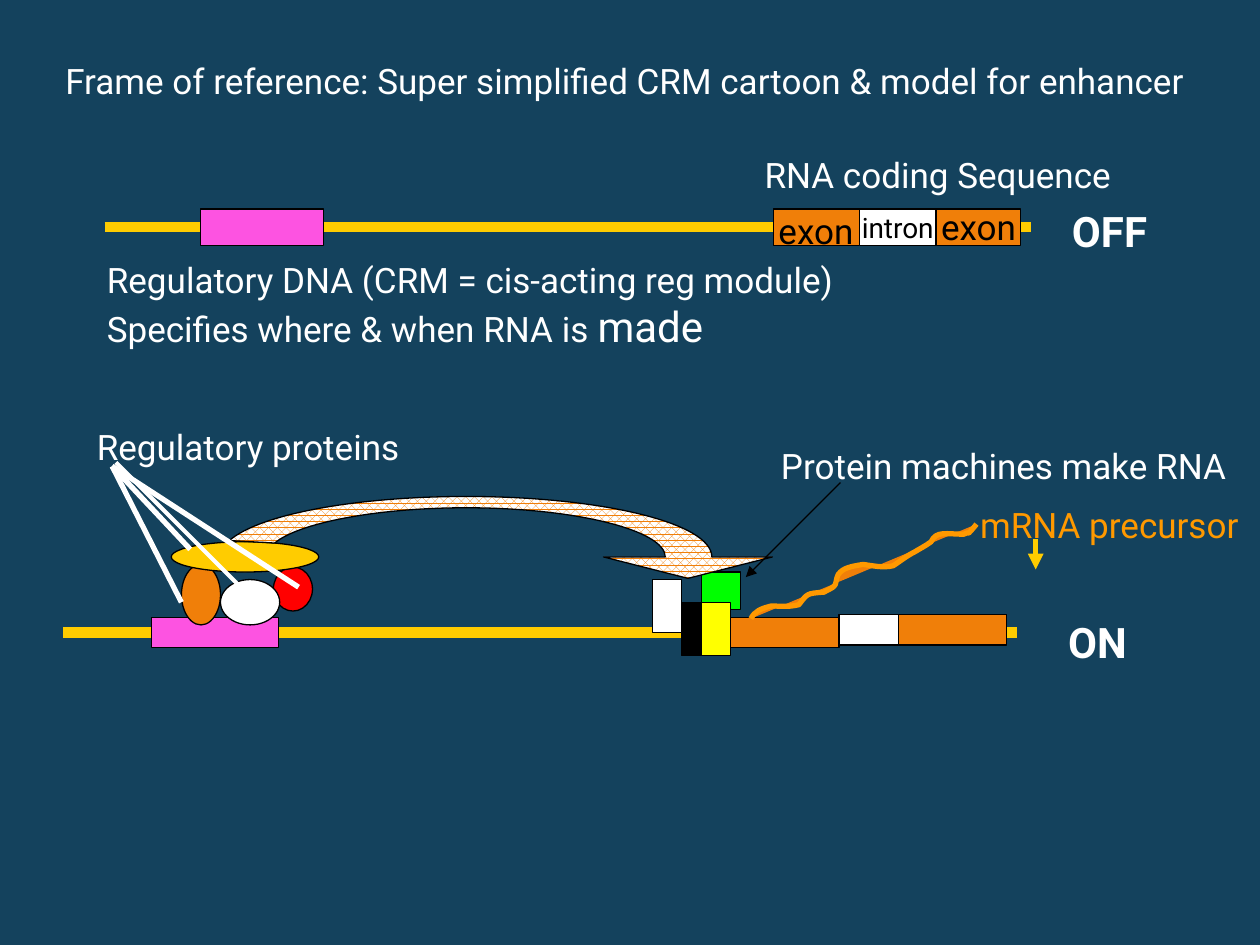
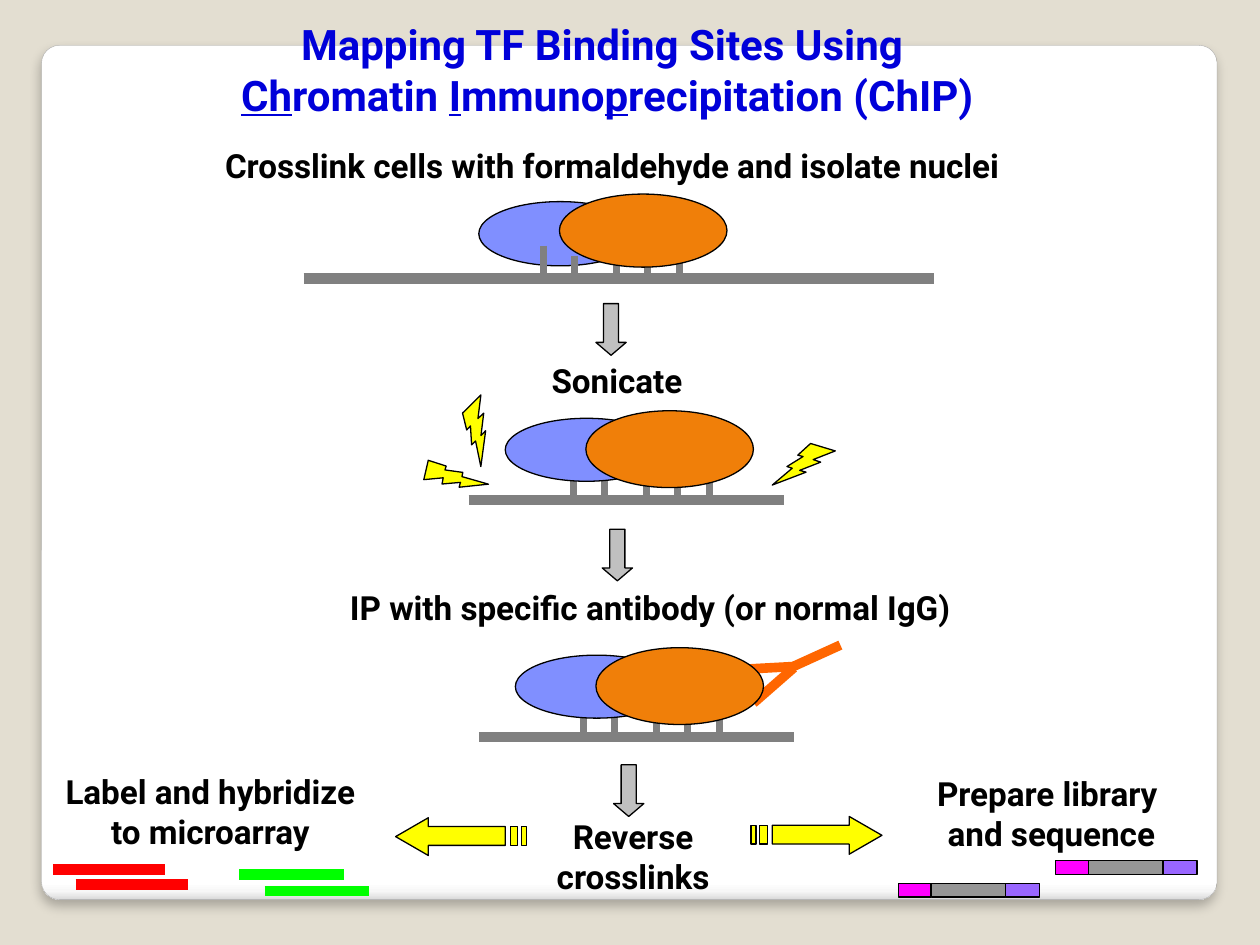
from itertools import accumulate, chain
from lxml import etree
from pptx import Presentation
from pptx.dml.color import RGBColor
from pptx.enum.dml import MSO_PATTERN
from pptx.enum.shapes import MSO_CONNECTOR, MSO_SHAPE
from pptx.enum.text import MSO_ANCHOR, MSO_AUTO_SIZE, PP_ALIGN
from pptx.oxml import parse_xml
from pptx.oxml.ns import nsdecls, qn
from pptx.util import Cm, Pt

FONT = "Roboto"
COLORS = {
    "navy": "14425D", "sand": "E3DED1", "white": "FFFFFF", "black": "000000",
    "gold": "FFCC00", "orange": "F07F09", "amber": "FF9900", "pink": "FD53E1",
    "red": "FF0000", "green": "00FF00", "yellow": "FFFF00", "blue": "0000D9",
    "periwinkle": "808FFF", "gray": "808080", "silver": "C0C0C0", "flame": "FF6600",
    "magenta": "FF00FF", "midgray": "969696", "violet": "9966FF", "edge": "A4A4A4",
}
RECT, OVAL, BOLT = MSO_SHAPE.RECTANGLE, MSO_SHAPE.OVAL, MSO_SHAPE.LIGHTNING_BOLT

OFF_GENE = [
    (RECT, (6.14, 1.66, 0.68, 0.29), "orange"),
    (RECT, (1.59, 1.66, 0.98, 0.29), "pink"),
    (RECT, (7.42, 1.66, 0.68, 0.29), "orange"),
]
OFF_INTRON = (6.82, 1.66, 0.61, 0.29)
OFF_LABELS = [
    ((8.41, 1.58, 0.87, 0.5), [[("OFF", {})]], 24, "white", True),
    ((5.97, 1.17, 3.04, 0.44), [[("RNA coding Sequence", {})]], 20, "white", False),
    ((0.75, 2, 6.1, 0.84), [
        [("Regulatory DNA (CRM = cis-acting reg module)", {})],
        [("Specifies where & when RNA is ", {}), ("made ", {"size": 24})],
    ], 20, "white", False),
    ((6.08, 1.61, 0.81, 0.44), [[("exon", {})]], 20, "black", False),
    ((7.37, 1.58, 0.81, 0.44), [[("exon", {})]], 20, "black", False),
]
ON_GENE = [
    (RECT, (5.8, 4.9, 0.86, 0.24), "orange"),
    (RECT, (1.2, 4.9, 1.01, 0.24), "pink"),
    (OVAL, (1.44, 4.48, 0.31, 0.48), "orange"),
    (OVAL, (2.17, 4.5, 0.31, 0.35), "red"),
    (OVAL, (1.36, 4.3, 1.17, 0.24), "gold"),
    (OVAL, (1.75, 4.6, 0.47, 0.36), "white"),
    (RECT, (5.41, 4.78, 0.23, 0.42), "black"),
    (RECT, (5.18, 4.6, 0.23, 0.42), "white"),
    (RECT, (5.57, 4.54, 0.31, 0.3), "green"),
    (RECT, (5.57, 4.78, 0.23, 0.42), "yellow"),
    (RECT, (7.13, 4.88, 0.86, 0.24), "orange"),
    (RECT, (6.66, 4.88, 0.47, 0.24), "white"),
]
ON_LABELS = [
    ((0.42, 0.42, 9.23, 0.44),
     "Frame of reference: Super simplified CRM cartoon & model for enhancer", 20, "white", False),
    ((8.38, 4.84, 0.7, 0.5), "ON", 24, "white", True),
    ((0.67, 3.33, 2.63, 0.44), "Regulatory proteins", 20, "white", False),
    ((6.1, 3.48, 3.77, 0.43), "Protein machines make RNA", 20, "white", False),
    ((7.68, 3.95, 2.28, 0.44), "mRNA precursor", 20, "amber", False),
]
POINTERS = [
    ((0.89, 3.7), (1.51, 4.36), 3),
    ((0.89, 3.7), (1.44, 4.78), 3),
    ((0.89, 3.7), (2.37, 4.66), 3),
    ((0.92, 3.67), (1.92, 4.67), 2.25),
]
LOOP_ARROW = [
    (5.28, 4.42), (5.28, 4.21, 4.57, 4.03, 3.7, 4.03), (2.99, 4.03, 2.37, 4.15, 2.18, 4.31),
    (1.82, 4.29), (2.06, 4.08, 2.83, 3.94, 3.7, 3.94), (4.77, 3.94, 5.65, 4.15, 5.65, 4.42),
    (6.13, 4.42), (5.46, 4.59), (4.79, 4.42),
]
RNA_STRAND = [
    (5.96, 4.91), (5.99, 4.85, 6.04, 4.83, 6.12, 4.81), (6.22, 4.81, 6.25, 4.82, 6.34, 4.8),
    (6.41, 4.71, 6.4, 4.71, 6.54, 4.7), (6.59, 4.67, 6.61, 4.67, 6.63, 4.64),
    (6.64, 4.61, 6.64, 4.56, 6.67, 4.54), (6.71, 4.5, 6.79, 4.49, 6.85, 4.48),
    (6.93, 4.49, 7.01, 4.51, 7.09, 4.49), (7.15, 4.45, 7.2, 4.41, 7.26, 4.38),
    (7.31, 4.35, 7.35, 4.33, 7.39, 4.3), (7.43, 4.21, 7.51, 4.24, 7.65, 4.24),
    (7.66, 4.23, 7.68, 4.23, 7.69, 4.23), (7.71, 4.21, 7.75, 4.16, 7.75, 4.16),
]

TITLE = [
    [("Mapping TF Binding Sites Using ", {})],
    [("Ch", {"underline": True}), ("romatin ", {}), ("I", {"underline": True}),
     ("mmuno", {}), ("p", {"underline": True}), ("recipitation (ChIP)", {})],
]
STEPS = [
    ((1.23, 1.1, 7.26, 0.42), ["Crosslink cells with formaldehyde and isolate nuclei"], PP_ALIGN.CENTER),
    ((4.28, 2.81, 1.36, 0.42), ["Sonicate"], PP_ALIGN.LEFT),
    ((2.32, 4.61, 5.68, 0.42), ["IP with specific antibody (or normal IgG)"], PP_ALIGN.CENTER),
    ((0.29, 6.07, 2.76, 0.73), ["Label and hybridize to microarray"], PP_ALIGN.CENTER),
    ((4.16, 6.43, 1.73, 0.73), ["Reverse crosslinks"], PP_ALIGN.CENTER),
    ((7.13, 6.09, 2.43, 0.73), ["Prepare library ", "and sequence"], PP_ALIGN.CENTER),
]
PEGS = [(0, 0.26), (0.25, 0.18), (0.58, 0.18), (0.83, 0.18), (1.08, 0.26)]
LOOSE = {"left": (-0.51, -0.61, 1.29, 0.51), "right": (0.13, -0.67, 1.33, 0.58), "pegs_first": False}
TIGHT = {"left": (-0.54, -0.65, 1.29, 0.5), "right": (0.1, -0.71, 1.33, 0.61), "pegs_first": True}
COMPLEXES = [
    (4.31, 2.21, 2.41, 5, LOOSE),
    (4.55, 3.97, 3.72, 2.5, TIGHT),
    (4.63, 5.85, 3.8, 2.5, TIGHT),
]
ANTIBODY = [((6.23, 5.32), (6.67, 5.12)), ((5.98, 5.58), (6.3, 5.3)), ((5.93, 5.31), (6.3, 5.29))]
BOLTS = [
    ((6.13, 3.52, 0.5, 0.33), 0, False),
    ((3.54, 3.24, 0.5, 0.33), 298.5, False),
    ((3.42, 3.56, 0.34, 0.47), 135.4, True),
]
DOWN_ARROWS = [(4.73, 2.41), (4.78, 4.2), (4.87, 6.07)]
STRIPED_ARROW = [
    [(0.78, 0), (0.78, 0.07), (0.17, 0.07), (0.17, 0.22), (0.78, 0.22), (0.78, 0.3), (1.04, 0.15)],
    [(0.07, 0.07), (0.07, 0.22), (0.13, 0.22), (0.13, 0.07)],
    [(0, 0.07), (0, 0.22), (0.04, 0.22), (0.04, 0.07)],
]
PROBES = [
    ("green", 0.83, [(2.1, 7.07), (1.9, 6.94)]),
    ("red", 0.89, [(0.42, 6.9), (0.6, 7.02)]),
]
READS = [(7.13, 7.01), (8.38, 6.83)]
READ_PARTS = [("magenta", 0.26), ("midgray", 0.59), ("violet", 0.27)]


def inch(value):
    return Cm(value * 2.54)


def rgb(name):
    return RGBColor.from_string(COLORS[name])


def new_slide(background):
    slide = prs.slides.add_slide(prs.slide_layouts[6])
    slide.background.fill.solid()
    slide.background.fill.fore_color.rgb = rgb(background)
    return slide.shapes


def paint(shape, fill, line="black", width=0.75):
    shape.shadow.inherit = False
    shape.fill.solid()
    shape.fill.fore_color.rgb = rgb(fill)
    shape.line.color.rgb = rgb(line)
    shape.line.width = Pt(width)
    return shape


def block(shapes, kind, at, fill):
    return paint(shapes.add_shape(kind, *map(inch, at)), fill)


def line(shapes, start, end, color, width, arrow=False):
    connector = shapes.add_connector(MSO_CONNECTOR.STRAIGHT, *map(inch, start + end))
    connector.line.color.rgb = rgb(color)
    connector.line.width = Pt(width)
    if arrow:
        etree.SubElement(connector.line._get_or_add_ln(), qn("a:tailEnd"), type="triangle")
    etree.SubElement(connector._element.spPr, qn("a:effectLst"))


def write(frame, paragraphs, size, color, bold=False, align=PP_ALIGN.LEFT, wrap=False):
    frame.word_wrap = wrap
    for i, runs in enumerate(paragraphs):
        p = frame.paragraphs[0] if i == 0 else frame.add_paragraph()
        p.alignment = align
        for words, options in runs:
            run = p.add_run()
            run.text = words
            run.font.name = FONT
            run.font.size = Pt(options.get("size", size))
            run.font.bold = bold
            run.font.underline = options.get("underline", False)
            run.font.color.rgb = rgb(color)


def label(shapes, at, *args, **kwargs):
    frame = shapes.add_textbox(*map(inch, at)).text_frame
    write(frame, *args, **kwargs)
    frame.auto_size = MSO_AUTO_SIZE.SHAPE_TO_FIT_TEXT


def outline(shapes, contours, close=True):
    contours = [[tuple(map(inch, step)) for step in contour] for contour in contours]
    builder = shapes.build_freeform(*contours[0][0])
    for i, contour in enumerate(contours):
        if i:
            builder.move_to(*contour[0])
        builder.add_line_segments([step[-2:] for step in contour[1:]], close=close)
    shape = builder.convert_to_shape()
    steps = chain.from_iterable(contour[1:] for contour in contours)
    for straight, step in zip(list(shape._element.iter(qn("a:lnTo"))), steps):
        if len(step) == 6:
            curve = etree.Element(qn("a:cubicBezTo"))
            for x, y in zip(step[::2], step[1::2]):
                etree.SubElement(curve, qn("a:pt"), x=str(x - shape.left), y=str(y - shape.top))
            straight.getparent().replace(straight, curve)
    return shape


def panel(shapes):
    card = block(shapes, MSO_SHAPE.ROUNDED_RECTANGLE, (0.33, 0.36, 9.33, 6.78), "white")
    card.adjustments[0] = 0.021
    card.line.color.rgb = rgb("edge")
    card.line.width = Pt(0.16)
    props = card._element.spPr
    stops = "".join(
        f'<a:gs pos="{pos * 1000}"><a:srgbClr val="{color}"/></a:gs>'
        for pos, color in [(0, "FFFFFF"), (98, "FFFFFF"), (99, "F7F7F7"), (100, "DADADA")])
    props.replace(props.find(qn("a:solidFill")), parse_xml(
        f'<a:gradFill {nsdecls("a")} rotWithShape="1"><a:gsLst>{stops}</a:gsLst>'
        '<a:lin ang="5400000" scaled="0"/></a:gradFill>'))
    props.find(qn("a:effectLst")).append(parse_xml(
        f'<a:outerShdw {nsdecls("a")} blurRad="{Pt(6)}" dist="{Pt(4)}" dir="5400000" '
        'algn="t" rotWithShape="0"><a:srgbClr val="000000"><a:alpha val="25000"/>'
        '</a:srgbClr></a:outerShdw>'))


def protein_complex(shapes, peg_x, y, strand_x, length, form):
    group = shapes.add_group_shape().shapes

    def oval(side, fill):
        dx, dy, w, h = form[side]
        block(group, OVAL, (peg_x + dx, y + dy, w, h), fill)

    def pegs():
        for dx, rise in PEGS:
            line(group, (peg_x + dx, y - rise), (peg_x + dx, y - 0.02), "gray", 4)

    line(group, (strand_x, y), (strand_x + length, y), "gray", 6)
    if form["pegs_first"]:
        pegs()
    oval("left", "periwinkle")
    if not form["pegs_first"]:
        pegs()
    oval("right", "orange")


def build_enhancer_slide():
    shapes = new_slide("navy")
    line(shapes, (0.5, 5.02), (8.07, 5.02), "gold", 6)
    for item in ON_GENE:
        block(shapes, *item)
    loop = paint(outline(shapes, [LOOP_ARROW]), "white")
    loop.fill.patterned()
    loop.fill.pattern = MSO_PATTERN.PERCENT_70
    loop.fill.fore_color.rgb = rgb("orange")
    loop.fill.back_color.rgb = rgb("white")
    for start, end, width in POINTERS:
        line(shapes, start, end, "white", width)
    paint(outline(shapes, [RNA_STRAND], close=False), "orange", "amber", 3)
    for at, words, *style in ON_LABELS:
        label(shapes, at, [[(words, {})]], *style)
    line(shapes, (8.22, 4.28), (8.22, 4.52), "gold", 3, arrow=True)
    line(shapes, (6.67, 3.83), (5.92, 4.58), "black", 0.75, arrow=True)

    gene = shapes.add_group_shape().shapes
    line(gene, (0.83, 1.8), (8.18, 1.8), "gold", 6)
    for item in OFF_GENE:
        block(gene, *item)
    intron = block(gene, RECT, OFF_INTRON, "white").text_frame
    intron.vertical_anchor = MSO_ANCHOR.MIDDLE
    write(intron, [[("intron", {})]], 16, "black", align=PP_ALIGN.CENTER)
    for item in OFF_LABELS:
        label(gene, *item)


def build_chip_slide():
    shapes = new_slide("sand")
    panel(shapes)
    antibody = shapes.add_group_shape().shapes
    for start, end in ANTIBODY:
        line(antibody, start, end, "flame", 5.5)
    for at, angle, flip_v in BOLTS:
        bolt = block(shapes, BOLT, at, "yellow")
        bolt.rotation = angle
        bolt._element.spPr.xfrm.set("flipH", "1")
        if flip_v:
            bolt._element.spPr.xfrm.set("flipV", "1")
    for item in COMPLEXES:
        protein_complex(shapes, *item)
    for x, y in DOWN_ARROWS:
        arrow = block(shapes, MSO_SHAPE.DOWN_ARROW, (x, y, 0.24, 0.41), "silver")
        arrow.adjustments[1] = 0.426
    for x, y, way in [(5.96, 6.48, 1), (4.18, 6.49, -1)]:
        paint(outline(shapes, [[(x + way * dx, y + dy) for dx, dy in part]
                               for part in STRIPED_ARROW]), "yellow")
    for color, length, starts in PROBES:
        group = shapes.add_group_shape().shapes
        for x, y in starts:
            line(group, (x, y), (x + length, y), color, 6)
    offsets = list(accumulate((w for _, w in READ_PARTS), initial=0))
    for x, y in READS:
        group = shapes.add_group_shape().shapes
        for dx, (color, width) in zip(offsets, READ_PARTS):
            block(group, RECT, (x + dx, y, width, 0.11), color)
    label(shapes, (0.05, 0.1, 9.54, 0.91), TITLE, 24, "blue", True, PP_ALIGN.CENTER, True)
    for at, rows, align in STEPS:
        label(shapes, at, [[(row, {})] for row in rows], 19, "black", True, align, True)


prs = Presentation()
prs.slide_width, prs.slide_height = Cm(25.4), Cm(19.05)
build_enhancer_slide()
build_chip_slide()
prs.save("out.pptx")
